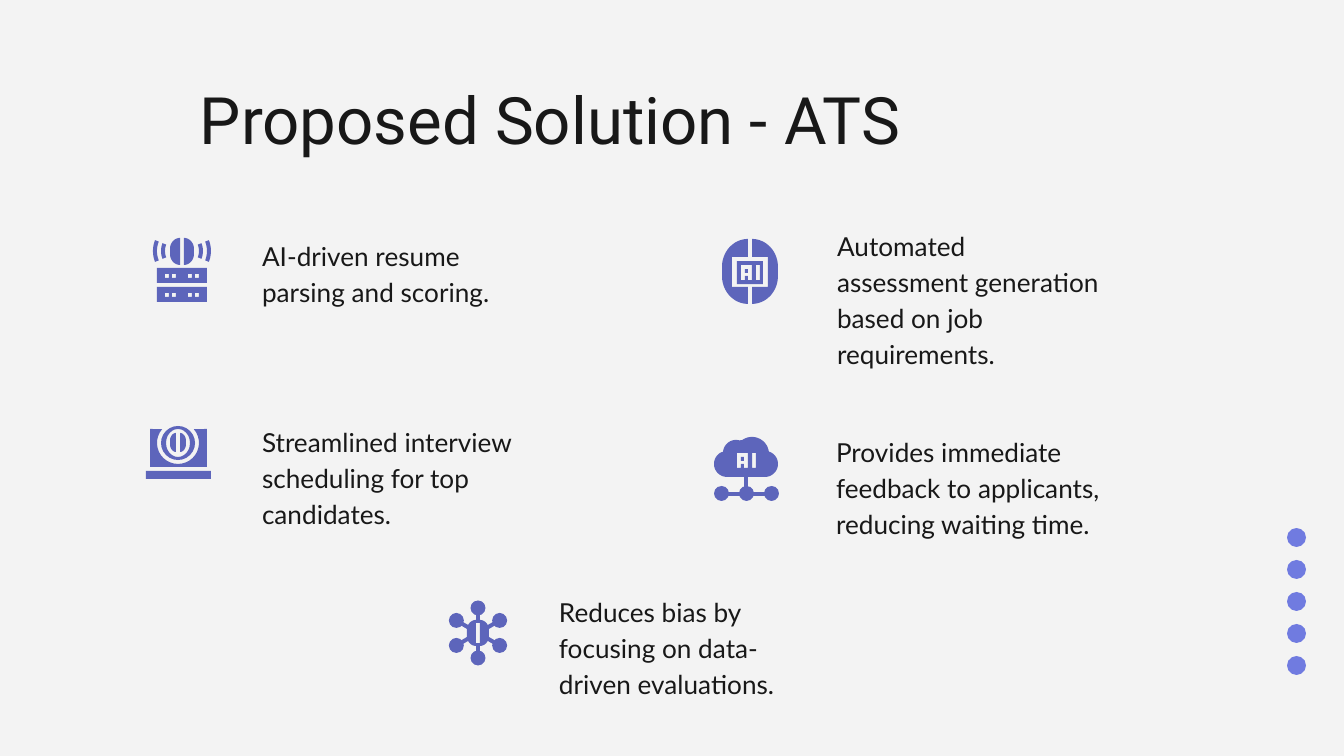
from math import cos, radians, sin

from lxml.etree import SubElement
from pptx import Presentation
from pptx.dml.color import RGBColor
from pptx.enum.shapes import MSO_CONNECTOR, MSO_SHAPE
from pptx.enum.text import MSO_ANCHOR, MSO_AUTO_SIZE, PP_ALIGN
from pptx.oxml.ns import qn
from pptx.util import Emu, Pt

SCALE = 9144000 / 1344
BACKGROUND = RGBColor(0xF3, 0xF3, 0xF3)
INK = RGBColor(0x18, 0x18, 0x18)
ICON = RGBColor(0x5D, 0x65, 0xBB)
DOT = RGBColor(0x70, 0x7B, 0xE0)
INSET = 13
TITLE_INDENT = 94
TITLE_FONT = {"name": "Roboto", "size": Pt(35), "bold": False}
BODY_FONT = {"name": "Lato", "size": Pt(14), "bold": False}
BENEFITS = [
    (249, 223, "AI-driven resume parsing and scoring."),
    (824, 213, "Automated assessment generation based on job requirements."),
    (249, 409, "Streamlined interview scheduling for top candidates."),
    (823, 419, "Provides immediate feedback to applicants, reducing waiting time."),
]


def px(n):
    """Turn a length in px into EMU."""
    return Emu(round(n * SCALE))


def set_all(target, values):
    """Set each attribute named in a dict."""
    for name, value in values.items():
        setattr(target, name, value)


def write(sp, text, box, font, spacing, left=INSET):
    """Place a text shape and fill it with one unbulleted paragraph."""
    set_all(sp, dict(zip(("left", "top", "width", "height"), map(px, box))))
    tf = sp.text_frame
    set_all(tf, {
        "word_wrap": True, "auto_size": MSO_AUTO_SIZE.NONE,
        "vertical_anchor": MSO_ANCHOR.TOP, "margin_left": px(left),
        "margin_right": px(INSET), "margin_top": px(INSET), "margin_bottom": px(INSET),
    })
    p = tf.paragraphs[0]
    pPr = p._p.get_or_add_pPr()
    pPr.set("marL", "0")
    pPr.set("indent", "0")
    SubElement(pPr, qn("a:buNone"))
    set_all(p, {"alignment": PP_ALIGN.LEFT, "line_spacing": spacing, "space_before": Pt(0)})
    r = p.add_run()
    r.text = text
    set_all(r.font, font)
    r.font.color.rgb = INK


def paint(sp, color):
    """Give a shape a flat fill without line or shadow."""
    sp.shadow.inherit = False
    sp.fill.solid()
    sp.fill.fore_color.rgb = color
    sp.line.fill.background()


def preset(s, kind, x, y, w, h, color=ICON):
    """Add a flat preset shape."""
    paint(s.shapes.add_shape(kind, px(x), px(y), px(w), px(h)), color)


def outline(s, *contours):
    """Add a freeform whose inner contours are holes."""
    first, *rest = [[(px(x), px(y)) for x, y in c] for c in contours]
    builder = s.shapes.build_freeform(*first[0], scale=1.0)
    builder.add_line_segments(first[1:], close=True)
    for points in rest:
        builder.move_to(*points[0])
        builder.add_line_segments(points[1:], close=True)
    paint(builder.convert_to_shape(), ICON)


def link(s, x1, y1, x2, y2):
    """Add a thick icon line."""
    c = s.shapes.add_connector(MSO_CONNECTOR.STRAIGHT, px(x1), px(y1), px(x2), px(y2))
    c.line.color.rgb = ICON
    c.line.width = px(4)
    SubElement(c._element.spPr, qn("a:effectLst"))


def rect(x, y, w, h):
    """Return the corners of a rectangle."""
    return [(x, y), (x + w, y), (x + w, y + h), (x, y + h)]


def arc(cx, cy, rx, ry, start, end, steps=24):
    """Return points along an elliptic arc, clockwise for a rising angle."""
    angles = [radians(start + (end - start) * i / steps) for i in range(steps + 1)]
    return [(cx + rx * cos(a), cy + ry * sin(a)) for a in angles]


def brain(s, cx, top, bottom, w, ry, notch=()):
    """Draw two rounded halves around a gap, with an optional side notch."""
    for side in (-1, 1):
        x = cx + 2 * side
        points = arc(x, top + ry, side * w, ry, -90, 0) + arc(x, bottom - ry, side * w, ry, 0, 90)
        if notch:
            depth, upper, lower = notch
            edge = x + side * depth
            points += [(x, lower), (edge, lower), (edge, upper), (x, upper)]
        outline(s, points)


def letters(x, y):
    """Return the contours of the block letters A and I."""
    a = [(x, y), (x + 11, y), (x + 11, y + 15), (x + 7, y + 15), (x + 7, y + 11),
         (x + 4, y + 11), (x + 4, y + 15), (x, y + 15)]
    return a, rect(x + 4, y + 4, 3, 4), rect(x + 15, y, 4, 15)


def server_icon(s):
    """Draw the two-unit server with a brain and waves."""
    brain(s, 182, 238, 265, 10, 11)
    for y in (268, 287):
        lights = [rect(x, y + 6, 4, 4) for x in (165, 172, 188, 195)]
        outline(s, rect(157, y, 50, 15), *lights)
    for r in (21, 29):
        for mid in (0, 180):
            outer = arc(182, 251, r, r, mid - 22, mid + 22)
            outline(s, outer + arc(182, 251, r - 4, r - 4, mid + 22, mid - 22))


def chip_icon(s):
    """Draw the brain around a chip."""
    brain(s, 750, 239, 304, 26, 28, notch=(16, 257, 287))
    outline(s, rect(737, 261, 26, 23), *letters(741, 265))


def laptop_icon(s):
    """Draw the laptop with a brain in a ring."""
    preset(s, MSO_SHAPE.RECTANGLE, 146, 471, 65, 8)
    outline(s, [(207, 429), (207, 467), (150, 467), (150, 429)] + arc(178, 443, 21, 21, 221, -41))
    outline(s, arc(178, 443, 17, 17, 0, 360), arc(178, 443, 12, 14, 0, 360))
    brain(s, 178, 433, 452, 6, 8)


def cloud_icon(s):
    """Draw the cloud joined to three nodes."""
    cloud = (arc(727, 464, 13, 13, 90, 245) + arc(736, 453, 13, 13, 185, 285)
             + arc(752, 454, 17, 17, 235, 355) + arc(765, 464, 13, 13, -70, 90))
    outline(s, cloud, *letters(737, 453))
    link(s, 746, 476, 746, 494)
    link(s, 721, 494, 771, 494)
    for x in (714, 739, 764):
        preset(s, MSO_SHAPE.OVAL, x, 486, 15, 15)


def network_icon(s):
    """Draw the brain with six nodes around it."""
    brain(s, 478, 620, 646, 9, 10)
    inner = arc(478, 633, 10, 10, -90, 210, steps=5)
    nodes = arc(478, 633, 25, 25, -90, 210, steps=5)
    for start, (x, y) in zip(inner, nodes):
        link(s, *start, x, y)
        preset(s, MSO_SHAPE.OVAL, x - 7.5, y - 7.5, 15, 15)


def main():
    """Build and save the slide."""
    prs = Presentation()
    prs.slide_width, prs.slide_height = px(1344), px(756)
    s = prs.slides.add_slide(prs.slide_layouts[4])
    s.background.fill.solid()
    s.background.fill.fore_color.rgb = BACKGROUND
    for i in range(5):
        preset(s, MSO_SHAPE.OVAL, 1287, 528 + 32 * i, 19, 19, DOT)
    title, *bodies = s.placeholders
    write(title, "Proposed Solution - ATS", (106, 66, 1133, 85), TITLE_FONT, 1.0, TITLE_INDENT)
    for sp, (x, y, text) in zip(bodies, BENEFITS):
        write(sp, text, (x, y, 291, 98), BODY_FONT, 1.15)
    for draw in (server_icon, chip_icon, laptop_icon, cloud_icon, network_icon):
        draw(s)
    note = s.shapes.add_textbox(0, 0, 0, 0)
    write(note, "Reduces bias by focusing on data-driven evaluations.",
          (546, 579, 291, 98), BODY_FONT, 1.15)
    prs.save("out.pptx")


if __name__ == "__main__":
    main()
